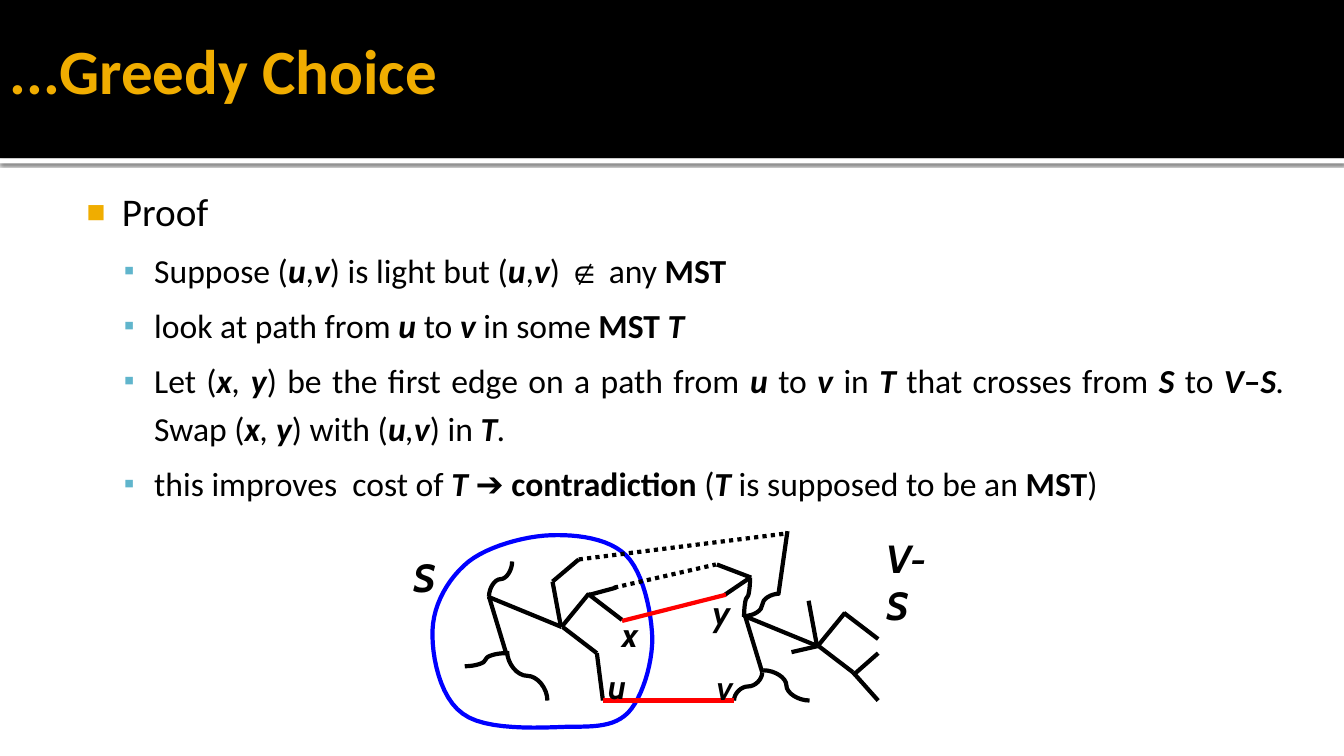
from lxml import etree
from pptx import Presentation
from pptx.dml.color import RGBColor
from pptx.enum.dml import MSO_LINE
from pptx.enum.shapes import MSO_CONNECTOR, MSO_SHAPE
from pptx.enum.text import MSO_ANCHOR, PP_ALIGN
from pptx.oxml.ns import qn
from pptx.util import Inches, Pt

STRAIGHT, CURVE = MSO_CONNECTOR.STRAIGHT, MSO_CONNECTOR.CURVE
RECTANGLE = MSO_SHAPE.RECTANGLE
DOTTED = MSO_LINE.ROUND_DOT
MIDDLE, TOP = MSO_ANCHOR.MIDDLE, MSO_ANCHOR.TOP
JUSTIFY = PP_ALIGN.JUSTIFY

BLACK = RGBColor(0x00, 0x00, 0x00)
WHITE = RGBColor(0xFF, 0xFF, 0xFF)
GOLD = RGBColor(0xF0, 0xAD, 0x00)
TEAL = RGBColor(0x60, 0xB5, 0xCC)
BLUE = RGBColor(0x00, 0x00, 0xFF)
RED = RGBColor(0xFF, 0x00, 0x00)

# Bullet styles: sign, colour, size in percent, left margin, hanging indent
MAIN_BULLET = ("■", GOLD, 80, 0.48, -0.35)
SUB_BULLET = ("▪", TEAL, 90, 0.8, -0.3)

# In the text, * switches bold and / switches italic
PROOF_STEPS = [
    "Suppose (*/u/*,*/v/*) is light but (*/u/*,*/v/*) *∉* any *MST*",
    "look at path from */u/* to */v/* in some *MST/ T/*",
    "Let (*/x*, *y/*) be the first edge on a path from */u/* to */v/* in */T/* "
    "that crosses from */S/* to */V/–/S*. /Swap (*/x*, *y/*) with (*/u*,*v/*) in */T*./",
    "this improves  cost of */T *➔ /*contradiction* (*/T/* is supposed to be an *MST*)",
]

# Straight edges of the tree: x1, y1, x2, y2
TREE_EDGES = [
    (4.84, 5.92, 5.57, 6.22), (5.57, 6.22, 5.84, 5.89), (5.83, 5.89, 6.17, 6.15),
    (5.58, 6.22, 5.92, 6.48), (5.56, 6.2, 5.48, 5.77), (5.98, 6.95, 5.92, 6.48),
    (5.48, 5.77, 5.74, 5.55), (5.85, 5.9, 6.11, 5.83), (4.85, 5.92, 5.02, 6.48),
    (7.38, 6.11, 8.11, 6.41), (8.11, 6.41, 8.38, 6.08), (8.37, 6.08, 8.71, 6.34),
    (8.12, 6.41, 8.46, 6.67), (8.1, 6.39, 8.02, 5.96), (8.71, 6.95, 8.46, 6.67),
    (8.46, 6.7, 8.71, 6.48), (7.85, 6.47, 8.11, 6.41), (7.39, 6.11, 7.56, 6.67),
    (7.44, 5.73, 7.19, 5.9), (7.45, 5.73, 7.11, 5.6), (7.72, 5.9, 7.81, 5.27),
]
# Curved edges: x1, y1, x2, y2, quarter turn
TREE_CURVES = [
    (4.85, 5.92, 5.08, 5.57, 270), (5.02, 6.48, 4.61, 6.61, 0),
    (5.03, 6.46, 5.43, 6.95, 270), (7.39, 6.11, 7.73, 5.89, 0),
    (7.56, 6.67, 7.28, 6.95, 90), (7.57, 6.65, 8.03, 6.95, 0),
    (7.38, 6.12, 7.44, 5.73, 270),
]
CROSSING_EDGES = [(5.98, 6.95, 7.28, 6.95), (6.17, 6.16, 7.2, 5.9)]
DOTTED_EDGES = [(6.09, 5.83, 7.1, 5.6), (5.74, 5.55, 7.82, 5.29)]

# Outline of the set S: start, then two control points and an end per piece
SET_START = (6.23, 7.07)
SET_PIECES = [
    ((6.37, 6.92), (6.47, 6.59), (6.47, 6.33)), ((6.46, 6.07), (6.38, 5.68), (6.21, 5.51)),
    ((6.04, 5.34), (5.72, 5.3), (5.46, 5.31)), ((5.2, 5.32), (4.84, 5.42), (4.65, 5.57)),
    ((4.45, 5.73), (4.3, 5.99), (4.29, 6.25)), ((4.28, 6.5), (4.36, 6.92), (4.59, 7.08)),
    ((4.81, 7.25), (5.36, 7.22), (5.63, 7.21)), ((5.9, 7.21), (6.09, 7.21), (6.23, 7.07)),
]
# Labels: text, left, top, width, height, size, wrap
LABELS = [
    ("u", 5.93, 6.56, 0.36, 0.44, 24, False), ("v", 7.01, 6.57, 0.35, 0.44, 24, False),
    ("x", 6.07, 6.04, 0.35, 0.44, 24, False), ("y", 6.97, 5.82, 0.35, 0.44, 24, False),
    ("S", 4, 5.44, 0.39, 0.5, 28, False), ("V-S", 8.69, 5.25, 0.7, 0.97, 28, True),
]


def bezier_points(start, pieces, steps=12):
    """Points along a chain of cubic curves."""
    points = []
    for first, second, end in pieces:
        for step in range(1, steps + 1):
            t = step / steps
            weights = ((1 - t) ** 3, 3 * t * (1 - t) ** 2, 3 * t * t * (1 - t), t ** 3)
            corners = (start, first, second, end)
            points.append(tuple(Inches(sum(w * c[axis] for w, c in zip(weights, corners)))
                                for axis in (0, 1)))
        start = end
    return points


class SlideBuilder:
    """Holds the shared style and the current slide."""

    font_name = "Calibri"
    label_font = "Cabin"
    line_width = 3

    def __init__(self, page):
        self.page = page

    def band(self, top, height, color, shadow=False):
        shape = self.page.shapes.add_shape(
            RECTANGLE, 0, Inches(top), Inches(13.33), Inches(height))
        shape.shadow.inherit = False
        shape.fill.solid()
        shape.fill.fore_color.rgb = color
        shape.line.fill.background()
        if shadow:
            effects = shape._element.spPr.find(qn("a:effectLst"))
            outer = etree.SubElement(effects, qn("a:outerShdw"), blurRad=str(Pt(2.5)),
                                     dist=str(Pt(0.8)), dir="5400000", rotWithShape="0")
            tint = etree.SubElement(outer, qn("a:srgbClr"), val=str(BLACK))
            etree.SubElement(tint, qn("a:alpha"), val="60000")

    def text_box(self, left, top, width, height, margins=(0.1, 0.05, 0.1, 0.05),
                 wrap=True, anchor=TOP):
        box = self.page.shapes.add_textbox(
            Inches(left), Inches(top), Inches(width), Inches(height))
        frame = box.text_frame
        frame.word_wrap = wrap
        frame.vertical_anchor = anchor
        for side, margin in zip(("left", "top", "right", "bottom"), margins):
            setattr(frame, f"margin_{side}", Inches(margin))
        return frame

    def span(self, para, text, size, color=BLACK, **formats):
        span = para.add_run()
        span.text = text
        values = {"name": self.font_name, "size": Pt(size), **formats}
        for name, value in values.items():
            setattr(span.font, name, value)
        span.font.color.rgb = color

    def bullet(self, para, style):
        sign, color, percent, margin, indent = style
        props = para._p.get_or_add_pPr()
        props.set("marL", str(Inches(margin)))
        props.set("indent", str(Inches(indent)))
        tint = etree.SubElement(props, qn("a:buClr"))
        etree.SubElement(tint, qn("a:srgbClr"), val=str(color))
        etree.SubElement(props, qn("a:buSzPct"), val=str(percent * 1000))
        etree.SubElement(props, qn("a:buFont"), typeface="Arial")
        etree.SubElement(props, qn("a:buChar"), char=sign)

    def bullet_para(self, para, text, size, style, space=0):
        self.bullet(para, style)
        formats = {"alignment": JUSTIFY, "line_spacing": 1.2, "space_before": Pt(space)}
        for name, value in formats.items():
            setattr(para, name, value)
        bold = italic = False
        for bold_part in text.split("*"):
            for position, part in enumerate(bold_part.split("/")):
                if position:
                    italic = not italic
                if part:
                    font = "Arial" if part == "∉" else self.font_name
                    self.span(para, part, size, name=font, bold=bold, italic=italic)
            bold = not bold

    def label(self, text, left, top, width, height, size, wrap):
        frame = self.text_box(left, top, width, height, wrap=wrap)
        self.span(frame.paragraphs[0], text, size,
                  name=self.label_font, bold=True, italic=True)

    def edge(self, x1, y1, x2, y2, turn=0, kind=STRAIGHT, color=BLACK, dash=None):
        # A turned edge is laid out unrotated around its middle first
        mid_x, mid_y = (x1 + x2) / 2, (y1 + y2) / 2
        half_x, half_y = (x2 - x1) / 2, (y2 - y1) / 2
        if turn:
            sign = 1 if turn == 90 else -1
            half_x, half_y = sign * half_y, -sign * half_x
        line = self.page.shapes.add_connector(
            kind, Inches(mid_x - half_x), Inches(mid_y - half_y),
            Inches(mid_x + half_x), Inches(mid_y + half_y))
        line.rotation = turn
        line.line.color.rgb = color
        line.line.width = Pt(self.line_width)
        if dash:
            line.line.dash_style = dash
        etree.SubElement(line._element.spPr, qn("a:effectLst"))

    def outline(self, start, pieces, color):
        builder = self.page.shapes.build_freeform(Inches(start[0]), Inches(start[1]))
        builder.add_line_segments(bezier_points(start, pieces), close=True)
        shape = builder.convert_to_shape()
        shape.shadow.inherit = False
        shape.fill.background()
        shape.line.color.rgb = color
        shape.line.width = Pt(self.line_width)


def main():
    deck = Presentation()
    deck.slide_width, deck.slide_height = Inches(13.33), Inches(7.5)
    slide = SlideBuilder(deck.slides.add_slide(deck.slide_layouts[6]))

    # Header
    slide.band(1.57, 0.05, WHITE, shadow=True)
    slide.band(0, 1.57, BLACK)
    title = slide.text_box(0, 0, 12, 1.37, (0.1, 0.05, 0.05, 0.05), anchor=MIDDLE)
    slide.span(title.paragraphs[0], "...Greedy Choice", 45, GOLD, bold=True)

    # Proof
    body = slide.text_box(0.67, 1.67, 12.17, 3.5, (0.06, 0.1, 0.1, 0.05))
    slide.bullet_para(body.paragraphs[0], "Proof", 28, MAIN_BULLET)
    for step in PROOF_STEPS:
        slide.bullet_para(body.add_paragraph(), step, 24, SUB_BULLET, space=4.8)

    # Tree and cut
    for points in TREE_EDGES:
        slide.edge(*points)
    for points in TREE_CURVES:
        slide.edge(*points, kind=CURVE)
    slide.outline(SET_START, SET_PIECES, BLUE)
    for points in CROSSING_EDGES:
        slide.edge(*points, color=RED)
    for points in DOTTED_EDGES:
        slide.edge(*points, dash=DOTTED)
    for label in LABELS:
        slide.label(*label)

    deck.save("out.pptx")


if __name__ == "__main__":
    main()
